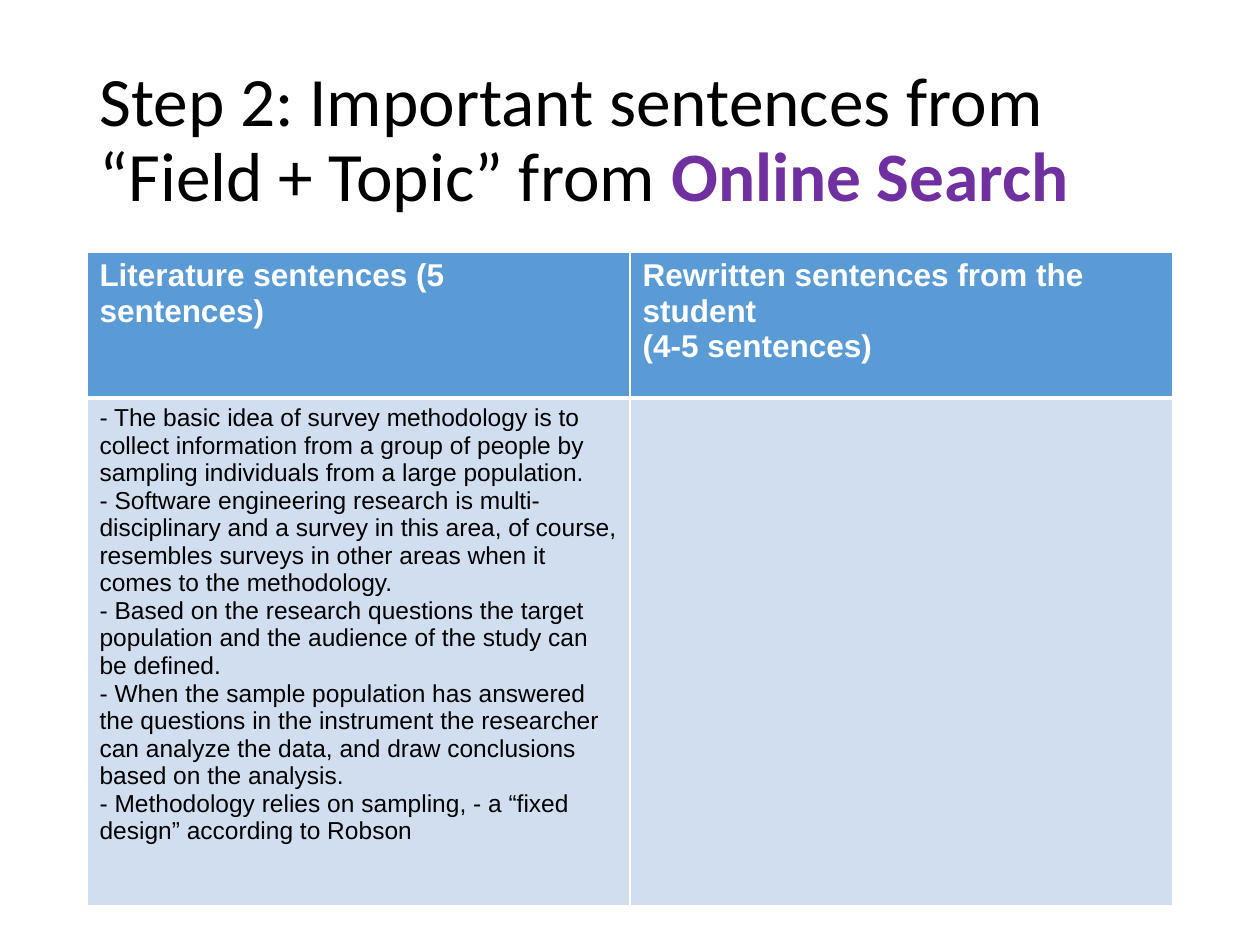
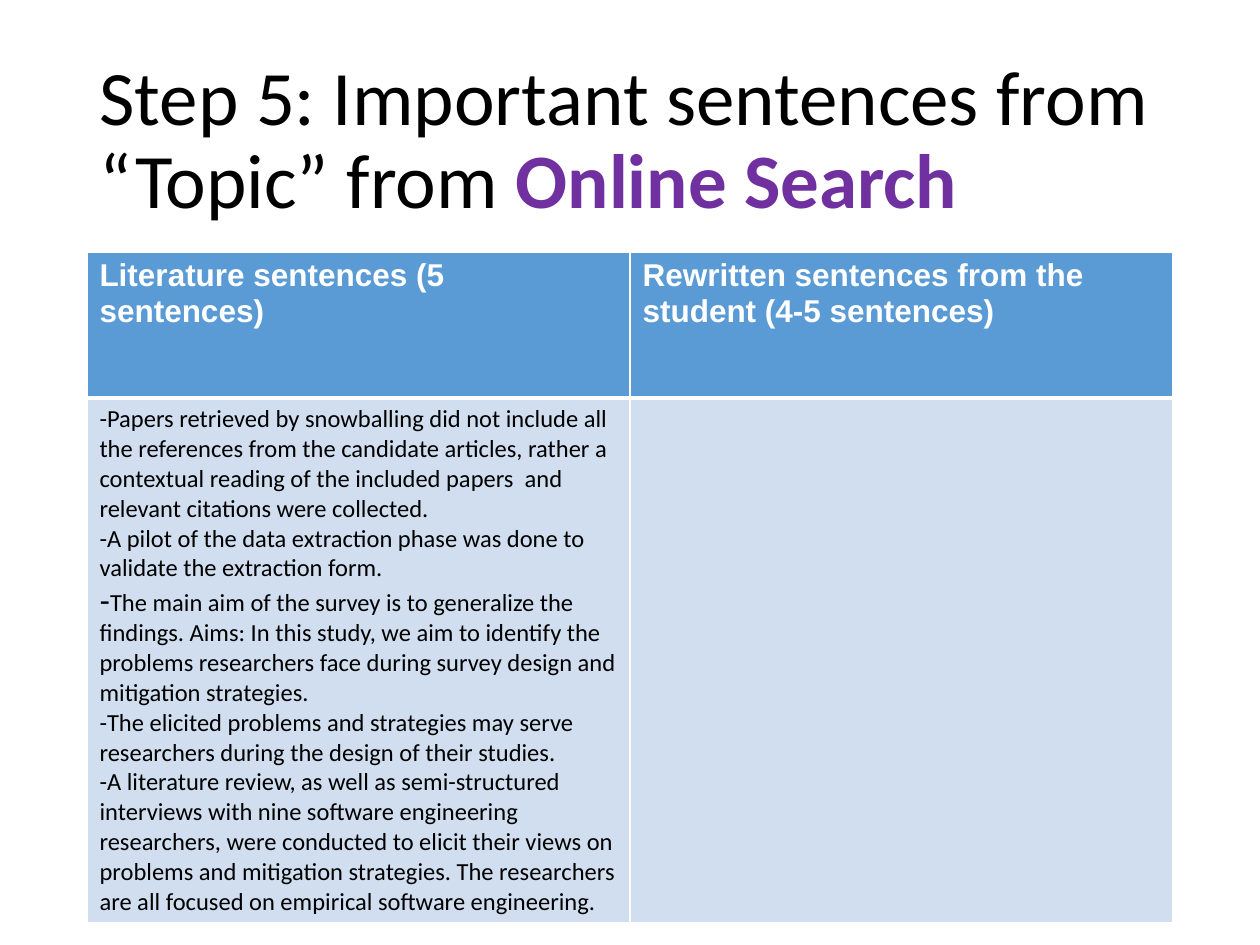
from dataclasses import dataclass

from lxml.etree import SubElement
from pptx import Presentation
from pptx.dml.color import RGBColor as Color
from pptx.enum.text import MSO_ANCHOR as Anchor, MSO_AUTO_SIZE as AutoSize, PP_ALIGN as Align
from pptx.oxml.ns import qn
from pptx.util import Inches, Pt


@dataclass(frozen=True)
class Theme:
    ink: str = "000000"
    paper: str = "FFFFFF"
    accent: str = "7030A0"
    header_fill: str = "5B9BD5"
    body_fill: str = "D0DEEF"
    sans: str = "Arial"
    humanist: str = "Calibri"
    header_size: float = 18
    body_size: float = 14
    thin: float = 1
    thick: float = 3


theme = Theme()


def style_span(span, font, size, color, bold=False):
    span.font.name = font
    span.font.size = Pt(size)
    span.font.bold = bold
    span.font.color.rgb = Color.from_string(color)


def style_cell(cell, fill, top, bottom):
    widths = {"a:lnL": theme.thin, "a:lnR": theme.thin, "a:lnT": top, "a:lnB": bottom}
    properties = cell._tc.get_or_add_tcPr()
    for side, width in widths.items():
        line = SubElement(properties, qn(side), w=str(Pt(width)))
        SubElement(SubElement(line, qn("a:solidFill")), qn("a:srgbClr"), val=theme.paper)
    cell.fill.solid()
    cell.fill.fore_color.rgb = Color.from_string(fill)


# Content: a leading dash in the "large_dash" paragraph is set at header size
steps = [
    {
        "title": "Step 2: Important sentences from “Field + Topic” from ",
        "title_size": 39.6,
        "student_header": ["Rewritten sentences from the student", "(4-5 sentences)"],
        "body_font": theme.sans,
        "large_dash": None,
        "sentences": [
            "- The basic idea of survey methodology is to collect information from a group "
            "of people by sampling individuals from a large population.",
            "- Software engineering research is multi-disciplinary and a survey in this area, "
            "of course, resembles surveys in other areas when it comes to the methodology.",
            "- Based on the research questions the target population and the audience of the "
            "study can be defined.",
            "- When the sample population has answered the questions in the instrument the "
            "researcher can analyze the data, and draw conclusions based on the analysis.",
            "- Methodology relies on sampling, - a “fixed design” according to Robson",
        ],
    },
    {
        "title": "Step 5: Important sentences from “Topic” from ",
        "title_size": 44,
        "student_header": ["Rewritten sentences from the student (4-5 sentences)"],
        "body_font": theme.humanist,
        "large_dash": 2,
        "sentences": [
            "-Papers retrieved by snowballing did not include all the references from the "
            "candidate articles, rather a contextual reading of the included papers  and "
            "relevant citations were collected.",
            "-A pilot of the data extraction phase was done to validate the extraction form.",
            "-The main aim of the survey is to generalize the findings. Aims: In this study, "
            "we aim to identify the problems researchers face during survey design and "
            "mitigation strategies.",
            "-The elicited problems and strategies may serve researchers during the design "
            "of their studies.",
            "-A literature review, as well as semi-structured interviews with nine software "
            "engineering researchers, were conducted to elicit their views on problems and "
            "mitigation strategies. The researchers are all focused on empirical software "
            "engineering.",
        ],
    },
]
search_name = "Online Search"
literature_header = ["Literature sentences (5 sentences)"]

deck = Presentation()
deck.slide_width, deck.slide_height = Inches(10), Inches(7.5)
left, width = Inches(0.69), Inches(8.62)
row_heights = [Inches(1.16), Inches(4.03)]

for step in steps:
    page = deck.slides.add_slide(deck.slide_layouts[5])

    # Title
    title = page.shapes.title
    title.left, title.top, title.width, title.height = left, Inches(0.4), width, Inches(1.45)
    frame = title.text_frame
    frame.word_wrap = True
    frame.auto_size = AutoSize.NONE
    frame.vertical_anchor = Anchor.MIDDLE
    frame.text = step["title"]
    para = frame.paragraphs[0]
    para.alignment = Align.LEFT
    para.line_spacing = 0.9
    style_span(para.runs[0], theme.humanist, step["title_size"], theme.ink)
    span = para.add_run()
    span.text = search_name
    style_span(span, theme.humanist, step["title_size"], theme.accent, bold=True)

    # Table grid
    table = page.shapes.add_table(2, 2, left, Inches(2), width, sum(row_heights)).table
    for row, height in zip(table.rows, row_heights):
        row.height = height
    for column in range(2):
        style_cell(table.cell(0, column), theme.header_fill, theme.thin, theme.thick)
        style_cell(table.cell(1, column), theme.body_fill, theme.thick, theme.thin)

    # Header row
    for column, lines in enumerate([literature_header, step["student_header"]]):
        frame = table.cell(0, column).text_frame
        frame.text = "\n".join(lines)
        for para in frame.paragraphs:
            style_span(para.runs[0], theme.sans, theme.header_size, theme.paper, bold=True)

    # Literature sentences
    frame = table.cell(1, 0).text_frame
    frame.text = "\n".join(step["sentences"])
    for index, para in enumerate(frame.paragraphs):
        span = para.runs[0]
        if index == step["large_dash"]:
            sentence = span.text
            span.text = sentence[0]
            style_span(span, theme.sans, theme.header_size, theme.ink)
            span = para.add_run()
            span.text = sentence[1:]
        style_span(span, step["body_font"], theme.body_size, theme.ink)

deck.save("out.pptx")
